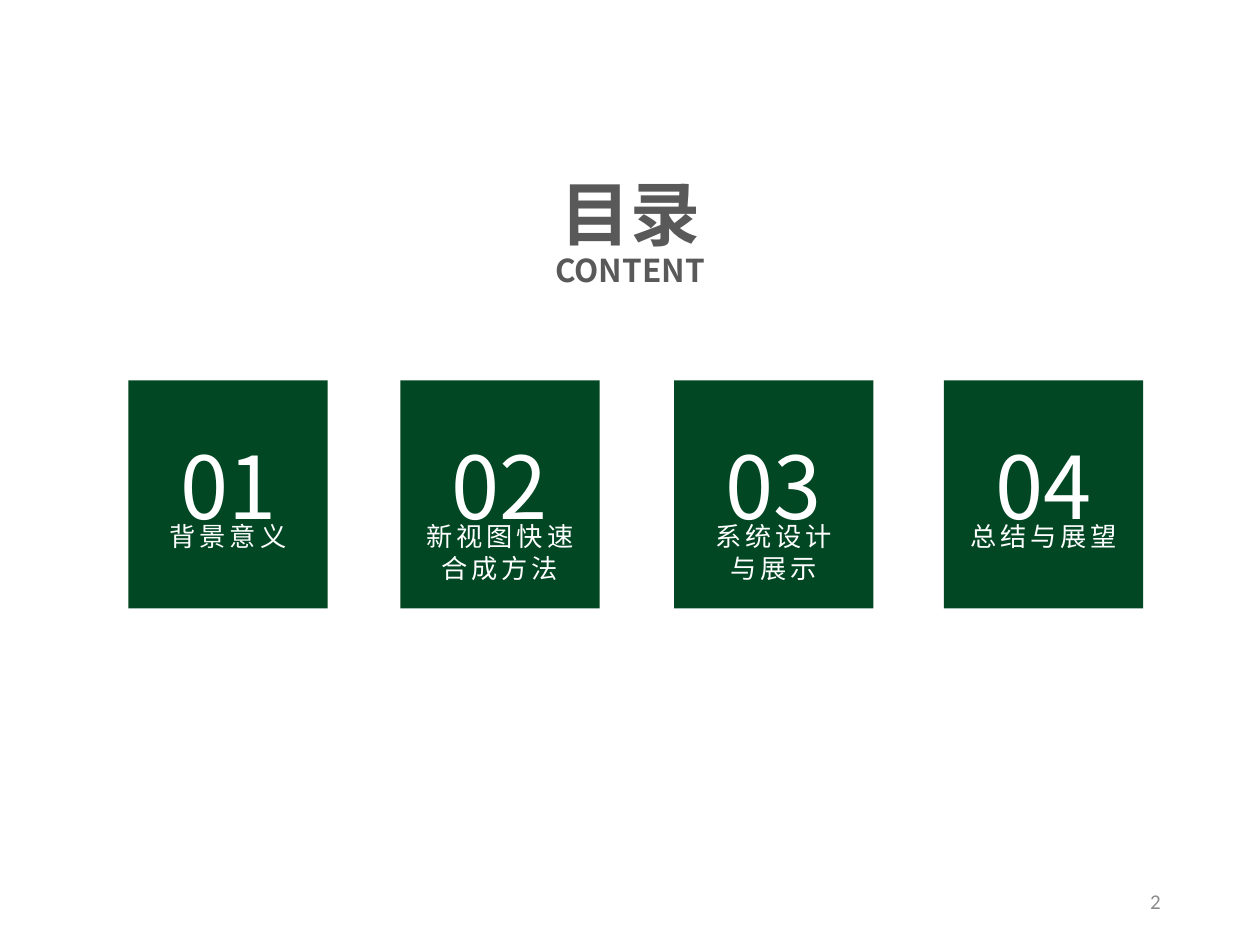
from lxml.etree import SubElement
from pptx import Presentation
from pptx.dml.color import RGBColor
from pptx.enum.shapes import MSO_SHAPE
from pptx.enum.text import MSO_ANCHOR, PP_ALIGN
from pptx.oxml.ns import qn
from pptx.util import Pt

GREEN = RGBColor(0x01, 0x47, 0x23)
WHITE = RGBColor(0xFF, 0xFF, 0xFF)
DARK_GRAY = RGBColor(0x59, 0x59, 0x59)
LIGHT_GRAY = RGBColor(0x8C, 0x8C, 0x8C)
CJK_FONT = "Noto Sans CJK SC"

CARD_TOP, CARD_WIDTH, CARD_HEIGHT = 217.4, 113.9, 130.3
CARDS = [
    (73.4, "01", ["背景意义"]),
    (228.8, "02", ["新视图快速", "合成方法"]),
    (385.2, "03", ["系统设计", "与展示"]),
    (539.4, "04", ["总结与展望"]),
]


def add_text(frame, text, *, size, color, font=CJK_FONT, bold=False,
             align=PP_ALIGN.CENTER, line=None, tracking=0):
    """Append one formatted paragraph to a text frame."""
    paragraph = frame.paragraphs[0]
    if paragraph.runs:
        paragraph = frame.add_paragraph()
    paragraph.alignment = align
    if line:
        paragraph.line_spacing = Pt(line)
    run = paragraph.add_run()
    run.text = text
    run.font.size = Pt(size)
    run.font.name = font
    run.font.bold = bold
    run.font.color.rgb = color
    properties = run.font._element
    SubElement(properties, qn("a:ea")).set("typeface", font)
    if tracking:
        properties.set("spc", str(round(tracking * 100)))


def add_frame(slide, left, top, width, height, wrap=True):
    """Add an empty text box and return its text frame."""
    box = slide.shapes.add_textbox(Pt(left), Pt(top), Pt(width), Pt(height))
    box.text_frame.word_wrap = wrap
    return box.text_frame


def add_heading(slide, left, top, width, height):
    """Place the two-line heading in the given box."""
    frame = add_frame(slide, left, top, width, height)
    add_text(frame, "目录", size=40, color=DARK_GRAY, bold=True, line=52)
    add_text(frame, "CONTENT", size=18, color=DARK_GRAY, bold=True, line=19.5)


def add_card(slide, left, top, width, height, number, lines):
    """Place a green card with its number and centred label."""
    card = slide.shapes.add_shape(
        MSO_SHAPE.RECTANGLE, Pt(left), Pt(top), Pt(width), Pt(height))
    card.shadow.inherit = False
    card.fill.solid()
    card.fill.fore_color.rgb = GREEN
    card.line.fill.background()

    number_width = 77
    number_left = left + (width - number_width) / 2
    number_frame = add_frame(slide, number_left, top + 21.6, number_width, 67)
    add_text(number_frame, number, size=49.5, color=WHITE, line=64)

    label_width = 14.4 + 17.4 * max(map(len, lines))
    label_left = left + (width - label_width) / 2
    label_height = 7 + 18.4 * len(lines)
    label_frame = add_frame(
        slide, label_left, top + 76.6, label_width, label_height, wrap=False)
    for text in lines:
        add_text(label_frame, text, size=15, color=WHITE, line=18, tracking=2.2)


def add_page_number(slide, left, top, width, height):
    """Place the page number at the right of the given box."""
    frame = add_frame(slide, left, top, width, height)
    frame.vertical_anchor = MSO_ANCHOR.MIDDLE
    add_text(frame, "2", size=12, color=LIGHT_GRAY, font="Calibri",
             align=PP_ALIGN.RIGHT)


def main():
    """Build and save the contents slide."""
    presentation = Presentation()
    presentation.slide_width, presentation.slide_height = Pt(720), Pt(540)
    slide = presentation.slides.add_slide(presentation.slide_layouts[6])
    add_heading(slide, 297.4, 90, 125.3, 77.8)
    for left, number, lines in CARDS:
        add_card(slide, left, CARD_TOP, CARD_WIDTH, CARD_HEIGHT, number, lines)
    add_page_number(slide, 508.3, 500.4, 162, 28.8)
    presentation.save("out.pptx")


if __name__ == "__main__":
    main()
